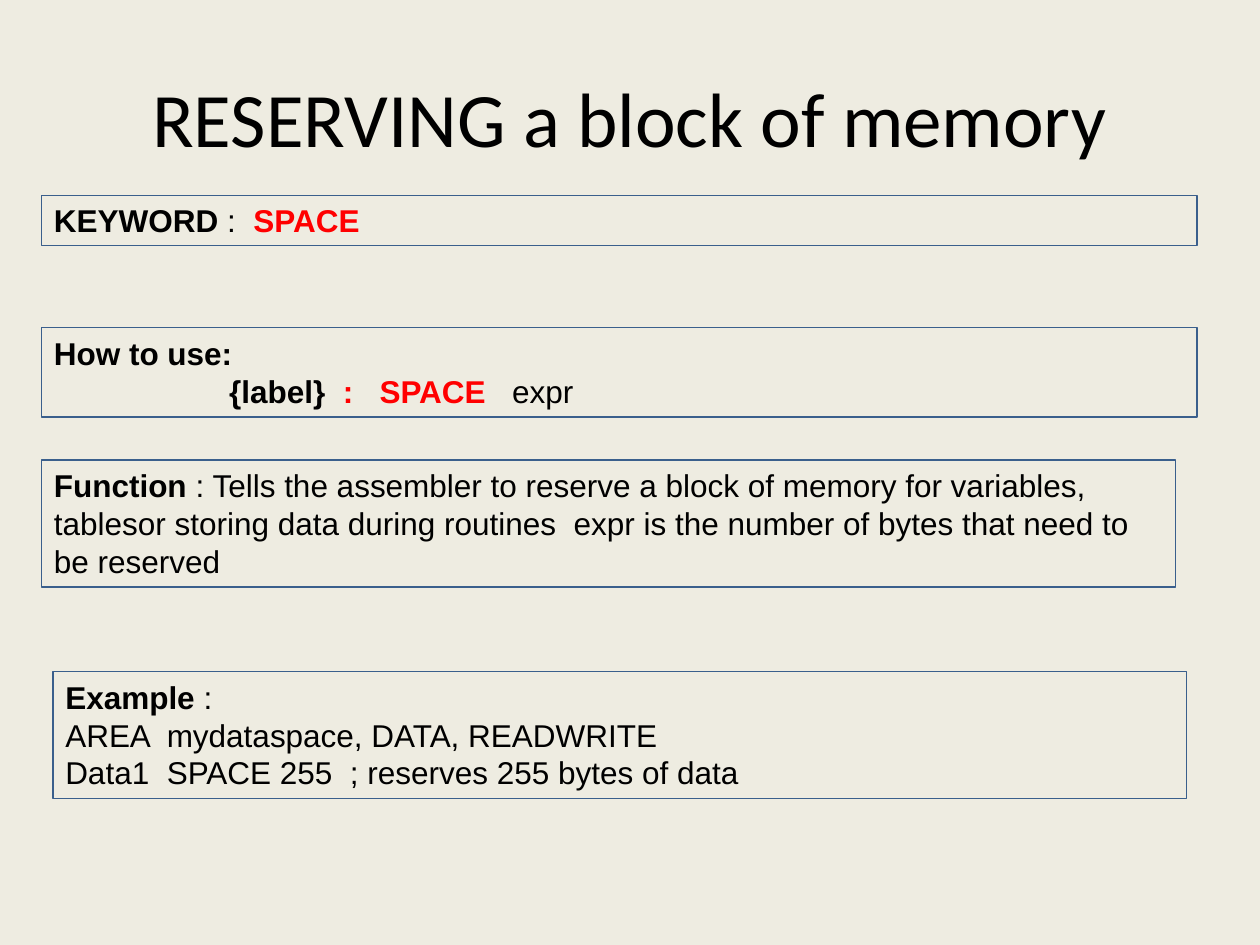
from pptx import Presentation
from pptx.dml.color import RGBColor
from pptx.enum.shapes import MSO_SHAPE as SHAPE
from pptx.enum.text import MSO_ANCHOR as ANCHOR, MSO_AUTO_SIZE as AUTO, PP_ALIGN as ALIGN
from pptx.util import Inches, Pt

BACKGROUND = RGBColor(0xEE, 0xEC, 0xE1)
BLACK = RGBColor(0, 0, 0)
RED = RGBColor(0xFF, 0, 0)
BORDER = RGBColor(0x3A, 0x5F, 0x8C)


def add_run(p, text, font="Arial", size=18, color=BLACK, bold=False):
    r = p.add_run()
    r.text = text
    r.font.name = font
    r.font.size = Pt(size)
    r.font.bold = bold
    r.font.color.rgb = color


def add_title(s, text):
    sp = s.shapes.title
    sp.left, sp.top, sp.width, sp.height = map(Inches, (0.5, 0.3, 9, 1.25))
    tf = sp.text_frame
    tf.vertical_anchor = ANCHOR.MIDDLE
    p = tf.paragraphs[0]
    p.alignment = ALIGN.CENTER
    add_run(p, text, font="Calibri", size=44)


def add_box(s, left, top, width, height, lines):
    sp = s.shapes.add_shape(SHAPE.RECTANGLE, *map(Inches, (left, top, width, height)))
    sp.shadow.inherit = False
    sp.fill.background()
    sp.line.color.rgb = BORDER
    sp.line.width = Pt(0.75)
    tf = sp.text_frame
    tf.word_wrap = True
    tf.auto_size = AUTO.SHAPE_TO_FIT_TEXT
    tf.vertical_anchor = ANCHOR.TOP
    for i, runs in enumerate(lines):
        p = tf.add_paragraph() if i else tf.paragraphs[0]
        p.alignment = ALIGN.LEFT
        for text, fmt in runs:
            add_run(p, text, **fmt)
    return tf


def main():
    prs = Presentation()
    prs.slide_width, prs.slide_height = Inches(10), Inches(7.5)
    s = prs.slides.add_slide(prs.slide_layouts[5])
    s.background.fill.solid()
    s.background.fill.fore_color.rgb = BACKGROUND

    plain = {}
    strong = {"bold": True}
    keyword = {"bold": True, "color": RED}

    add_title(s, "RESERVING a block of memory")
    add_box(s, 0.33, 1.55, 9.17, 0.4, [
        [("KEYWORD", strong), (" : ", plain), (" SPACE", keyword)],
    ])
    usage = add_box(s, 0.33, 2.6, 9.17, 0.71, [
        [("How to use:", strong)],
        [("{label}  ", strong), (":   SPACE ", keyword), ("  expr", plain)],
    ])
    usage.paragraphs[1]._p.get_or_add_pPr().set("marL", str(Inches(1.39)))
    add_box(s, 0.33, 3.65, 9, 1.01, [
        [("Function", strong),
         (" : Tells the assembler to reserve a block of memory for variables, "
          "tablesor storing data during routines  expr is the number of bytes "
          "that need to be reserved", plain)],
    ])
    add_box(s, 0.42, 5.33, 9, 1.01, [
        [("Example", strong), (" :", plain)],
        [("AREA  mydataspace, DATA, READWRITE", plain)],
        [("Data1  SPACE 255  ; reserves 255 bytes of data", plain)],
    ])
    prs.save("out.pptx")


if __name__ == "__main__":
    main()
